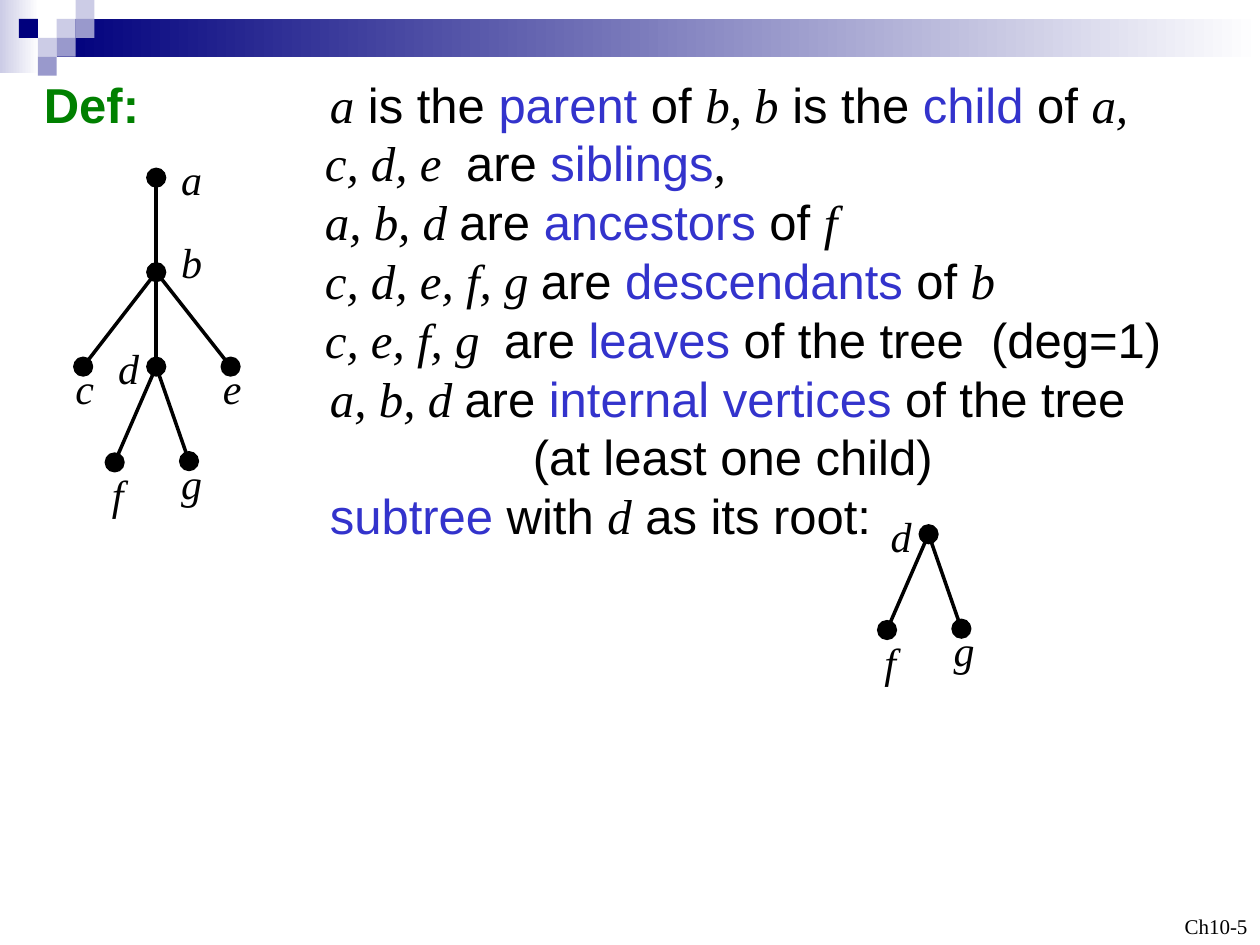
"""Build a slide that defines the vocabulary of rooted trees."""
from dataclasses import dataclass

from lxml import etree
from pptx import Presentation
from pptx import util as u
from pptx.dml.color import RGBColor
from pptx.enum import shapes, text
from pptx.oxml.ns import qn


@dataclass(frozen=True)
class Theme:
    ink: str = "000000"
    heading: str = "008000"
    term: str = "3333CC"
    navy: str = "00007D"
    mid: str = "9999CC"
    pale: str = "CCCCE6"
    paper: str = "FFFFFF"
    sans: str = "Arial"
    serif: str = "Times New Roman"
    body_size: float = 28
    body_pitch: float = 33.6
    label_size: float = 24
    footer_size: float = 12
    edge_width: float = 2
    outline_width: float = 0.75
    dot: float = 0.15


PLAIN, VAR, TERM, HEAD = "plain", "variable", "term", "heading"

DEFINITIONS = [
    (2.27, [(HEAD, "Def:\t"), (VAR, "a"), (PLAIN, " is the "), (TERM, "parent"),
            (PLAIN, " of "), (VAR, "b, b"), (PLAIN, " is the "), (TERM, "child"),
            (PLAIN, " of "), (VAR, "a,")]),
    (2.23, [(VAR, "c, d, e  "), (PLAIN, "are "), (TERM, "siblings"), (VAR, ",")]),
    (2.23, [(VAR, "a, b, d "), (PLAIN, "are "), (TERM, "ancestors"),
            (PLAIN, " of "), (VAR, "f")]),
    (2.23, [(VAR, "c, d, e, f, g "), (PLAIN, "are "), (TERM, "descendants"),
            (PLAIN, " of "), (VAR, "b")]),
    (2.23, [(VAR, "c, e, f, g  "), (PLAIN, "are "), (TERM, "leaves"),
            (PLAIN, " of the tree  (deg=1)")]),
    (2.27, [(VAR, "a, b, d "), (PLAIN, "are "), (TERM, "internal vertices "),
            (PLAIN, "of the tree")]),
    (3.88, [(PLAIN, "(at least one child)")]),
    (2.27, [(TERM, "subtree"), (PLAIN, " with "), (VAR, "d"),
            (PLAIN, " as its root:")]),
]

VERTICES = {"a": (1.24, 1.41), "b": (1.24, 2.16), "c": (0.66, 2.91),
            "d": (1.24, 2.91), "e": (1.83, 2.91), "f": (0.91, 3.67),
            "g": (1.5, 3.66)}
LABELS = {"a": (1.34, 1.17), "b": (1.34, 1.83), "c": (0.5, 2.83),
          "d": (0.84, 2.67), "e": (1.67, 2.83), "f": (0.79, 3.67),
          "g": (1.34, 3.58)}
EDGES = ["ab", "bc", "bd", "be", "df", "dg"]


class SlideBuilder:
    """Hold the theme and the current slide, and draw each kind of element."""

    def __init__(self, page, theme):
        self.page = page
        self.theme = theme

    def shape(self, kind, left, top, width, height, *colors):
        item = self.page.shapes.add_shape(
            kind, *map(u.Inches, (left, top, width, height)))
        item.shadow.inherit = False
        item.line.fill.background()
        if len(colors) == 1:
            item.fill.solid()
            item.fill.fore_color.rgb = RGBColor.from_string(colors[0])
        else:
            item.fill.gradient()
            item.fill.gradient_angle = 0
            for stop, color in zip(item.fill.gradient_stops, colors):
                stop.color.rgb = RGBColor.from_string(color)
        return item

    def rect(self, left, top, width, height, *colors):
        return self.shape(shapes.MSO_SHAPE.RECTANGLE, left, top, width, height, *colors)

    def vertex(self, x, y):
        size = self.theme.dot
        dot = self.shape(shapes.MSO_SHAPE.OVAL, x - size / 2, y - size / 2,
                         size, size, self.theme.ink)
        dot.line.color.rgb = RGBColor.from_string(self.theme.ink)
        dot.line.width = u.Pt(self.theme.outline_width)

    def edge(self, start, end):
        line = self.page.shapes.add_connector(
            shapes.MSO_CONNECTOR.STRAIGHT, *map(u.Inches, (*start, *end)))
        line.line.color.rgb = RGBColor.from_string(self.theme.ink)
        line.line.width = u.Pt(self.theme.edge_width)
        etree.SubElement(line.element.spPr, qn("a:effectLst"))

    def text_box(self, left, top, width, height, anchor, wrap=True):
        box = self.page.shapes.add_textbox(
            *map(u.Inches, (left, top, width, height)))
        box.text_frame.word_wrap = wrap
        box.text_frame.vertical_anchor = anchor
        return box.text_frame

    def style(self, font, size, role):
        theme = self.theme
        font.size = u.Pt(size)
        font.name = theme.serif if role == VAR else theme.sans
        font.italic = role == VAR
        font.bold = role == HEAD
        color = {TERM: theme.term, HEAD: theme.heading}.get(role, theme.ink)
        font.color.rgb = RGBColor.from_string(color)

    def label(self, name, left, top):
        width = 0.29 if name == "f" else 0.36
        frame = self.text_box(left, top, width, 0.5, text.MSO_ANCHOR.TOP, wrap=False)
        frame.text = name
        self.style(frame.paragraphs[0].runs[0].font, self.theme.label_size, VAR)

    def definitions(self, lines):
        frame = self.text_box(0.25, 0.58, 9.58, 3.75, text.MSO_ANCHOR.MIDDLE)
        for number, (indent, spans) in enumerate(lines):
            para = frame.add_paragraph() if number else frame.paragraphs[0]
            para.line_spacing = u.Pt(self.theme.body_pitch)
            properties = para._p.get_or_add_pPr()
            properties.set("marL", str(u.Inches(indent)))
            properties.set("indent", str(0 if number else -u.Inches(indent)))
            for role, words in spans:
                span = para.add_run()
                span.text = words
                self.style(span.font, self.theme.body_size, role)

    def footer(self, words):
        frame = self.text_box(7.67, 7, 2.33, 0.5, text.MSO_ANCHOR.BOTTOM)
        frame.text = words
        para = frame.paragraphs[0]
        para.alignment = text.PP_ALIGN.RIGHT
        font = para.runs[0].font
        self.style(font, self.theme.footer_size, PLAIN)
        font.name = self.theme.serif

    def tree(self, names, dx=0, dy=0):
        def place(points, name):
            x, y = points[name]
            return x + dx, y + dy

        for start, end in EDGES:
            if start in names and end in names:
                self.edge(place(VERTICES, start), place(VERTICES, end))
        for name in names:
            self.vertex(*place(VERTICES, name))
            self.label(name, *place(LABELS, name))

    def banner(self):
        theme, cell = self.theme, 0.15
        self.rect(0, 0, 0.31, 0.58, theme.pale, theme.paper)
        self.rect(0.45, 0.15, 9.55, 0.3, theme.navy, theme.paper)
        squares = [(3, 1, theme.pale), (4, 0, theme.pale), (4, 1, theme.mid),
                   (2, 2, theme.pale), (1, 1, theme.navy), (3, 2, theme.mid),
                   (2, 3, theme.mid)]
        for column, row, color in squares:
            self.rect(column * cell, row * cell, cell, cell, color)


def main():
    deck = Presentation()
    deck.slide_width, deck.slide_height = u.Inches(10), u.Inches(7.5)
    page = deck.slides.add_slide(deck.slide_layouts[6])
    builder = SlideBuilder(page, Theme())
    builder.banner()
    builder.definitions(DEFINITIONS)
    builder.tree("abcdefg")
    builder.tree("dfg", dx=6.13, dy=1.33)
    builder.footer("Ch10-5")
    deck.save("out.pptx")


if __name__ == "__main__":
    main()
